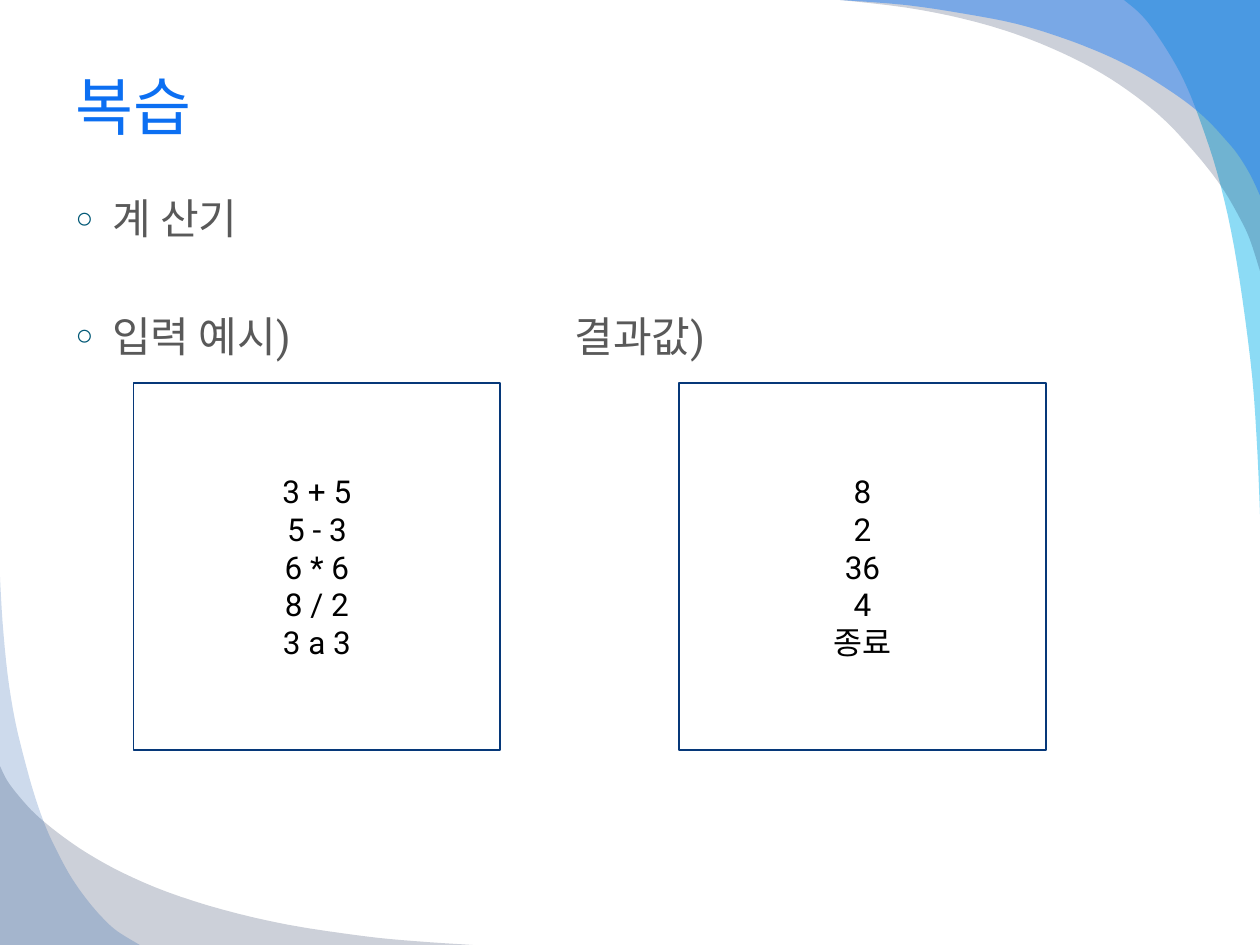
from lxml.etree import SubElement
from pptx import Presentation
from pptx.dml.color import RGBColor as RGB
from pptx.enum.shapes import MSO_SHAPE as Shape
from pptx.enum.text import MSO_ANCHOR as Anchor, MSO_AUTO_SIZE as Auto, PP_ALIGN as Align
from pptx.oxml.ns import qn
from pptx.util import Inches, Pt

FONT = "Roboto"

# Each swoosh: page corner, curve points, colour, opacity in percent.
TOP = [
    ((3.33, 0), [(2.25, 0), (2.37, 0.1), (2.48, 0.23), (2.63, 0.46), (2.75, 0.69),
                 (2.87, 1), (2.99, 1.37), (3.1, 1.83), (3.19, 2.37), (3.27, 3.01),
                 (3.31, 3.6), (3.33, 4.08)], "00B1E9", 45),
    ((3.33, 0), [(0, 0), (0.52, 0.06), (0.98, 0.15), (1.39, 0.27), (1.76, 0.42),
                 (2.07, 0.58), (2.34, 0.76), (2.57, 0.95), (2.76, 1.15), (2.92, 1.34),
                 (3.05, 1.52), (3.17, 1.73), (3.25, 1.9), (3.33, 2.15)], "021741", 20),
    ((3.33, 0), [(0, 0), (0.52, 0.04), (0.99, 0.11), (1.4, 0.19), (1.76, 0.3),
                 (2.07, 0.42), (2.34, 0.55), (2.57, 0.69), (2.77, 0.83), (2.92, 0.96),
                 (3.05, 1.1), (3.15, 1.22), (3.25, 1.38), (3.33, 1.55)], "247FF4", 49),
]
BOTTOM = [
    ((0, 2.92), [(0, 1.5), (0.06, 1.62), (0.16, 1.75), (0.28, 1.88), (0.46, 2.03),
                 (0.69, 2.19), (0.98, 2.35), (1.33, 2.5), (1.77, 2.64), (2.29, 2.76),
                 (2.89, 2.85), (3.3, 2.89), (3.75, 2.92)], "021741", 20),
    ((0, 2.92), [(0, 0), (0.02, 0.35), (0.06, 0.77), (0.12, 1.14), (0.2, 1.47),
                 (0.28, 1.75), (0.37, 2), (0.47, 2.21), (0.57, 2.39), (0.69, 2.56),
                 (0.81, 2.7), (0.93, 2.81), (1.11, 2.92)], "084AA1", 20),
]


def color(code):
    return RGB.from_string(code)


def place(shape, box):
    shape.left, shape.top, shape.width, shape.height = map(Inches, box)


def add_run(para, text, size, code):
    run = para.add_run()
    run.text = text
    run.font.name, run.font.size = FONT, Pt(size)
    run.font.color.rgb = color(code)


def smooth(points, steps=4):
    """Catmull-Rom curve through the points."""
    ends = [points[0], *points, points[-1]]
    curve = [points[0]]
    for a, b, c, d in zip(ends, ends[1:], ends[2:], ends[3:]):
        for t in (i / steps for i in range(1, steps + 1)):
            curve.append(tuple(
                (2 * q + (r - p) * t + (2 * p - 5 * q + 4 * r - s) * t ** 2
                 + (3 * q - p - 3 * r + s) * t ** 3) / 2
                for p, q, r, s in zip(a, b, c, d)))
    return curve


def add_corner(slide, left, top, swooshes):
    for corner, points, code, opacity in swooshes:
        start, *rest = [(Inches(left + x), Inches(top + y))
                        for x, y in [corner, *smooth(points)]]
        form = slide.shapes.build_freeform(*start)
        form.add_line_segments(rest, close=True)
        shape = form.convert_to_shape()
        shape.shadow.inherit = False
        shape.line.fill.background()
        shape.fill.solid()
        shape.fill.fore_color.rgb = color(code)
        tint = shape.element.spPr.find(".//" + qn("a:srgbClr"))
        SubElement(tint, qn("a:alpha"), val=str(opacity * 1000))
        slide.shapes.title.element.addprevious(shape.element)


def fill_title(shape, box, text):
    place(shape, box)
    frame = shape.text_frame
    frame.auto_size, frame.vertical_anchor = Auto.NONE, Anchor.MIDDLE
    para = frame.paragraphs[0]
    para.alignment = Align.LEFT
    add_run(para, text, 36, "0C6FF2")


def fill_list(shape, box, items, tab):
    """Each item is its text and the space before it in points."""
    place(shape, box)
    frame = shape.text_frame
    frame.auto_size = Auto.NONE
    for i, (text, gap) in enumerate(items):
        para = frame.add_paragraph() if i else frame.paragraphs[0]
        para.space_before = Pt(gap)
        add_run(para, text, 24, "595959")
        props = para._p.get_or_add_pPr()
        props.set("marL", str(Inches(0.29)))
        props.set("indent", str(Inches(-0.29)))
        SubElement(SubElement(props, qn("a:buClr")), qn("a:srgbClr"), val="005876")
        SubElement(props, qn("a:buSzPct"), val="70000")
        SubElement(props, qn("a:buChar"), char="○")
        tabs = SubElement(props, qn("a:tabLst"))
        SubElement(tabs, qn("a:tab"), pos=str(Inches(tab)), algn="l")


def add_panel(slide, box, lines):
    shape = slide.shapes.add_shape(Shape.RECTANGLE, *map(Inches, box))
    shape.shadow.inherit = False
    shape.fill.solid()
    shape.fill.fore_color.rgb = color("FFFFFF")
    shape.line.color.rgb = color("063879")
    shape.line.width = Pt(1)
    frame = shape.text_frame
    frame.vertical_anchor = Anchor.MIDDLE
    for i, line in enumerate(lines):
        para = frame.add_paragraph() if i else frame.paragraphs[0]
        para.alignment = Align.CENTER
        add_run(para, line, 18, "000000")


def main():
    deck = Presentation()
    deck.slide_width, deck.slide_height = Inches(10), Inches(7.5)
    slide = deck.slides.add_slide(deck.slide_layouts[1])
    add_corner(slide, 6.67, 0, TOP)
    add_corner(slide, 0, 4.58, BOTTOM)
    fill_title(slide.shapes.title, (0.5, 0.33, 9, 1.01), "복습")
    fill_list(slide.placeholders[1], (0.5, 1.48, 9, 5.22),
              [("계 산기", 4.8), ("입력 예시)\t결과값)", 38.5)], tab=3.96)
    add_panel(slide, (1.06, 3.04, 2.91, 2.91),
              ["3 + 5", "5 - 3", "6 * 6", "8 / 2", "3 a 3"])
    add_panel(slide, (5.39, 3.04, 2.91, 2.91), ["8", "2", "36", "4", "종료"])
    deck.save("out.pptx")


if __name__ == "__main__":
    main()
